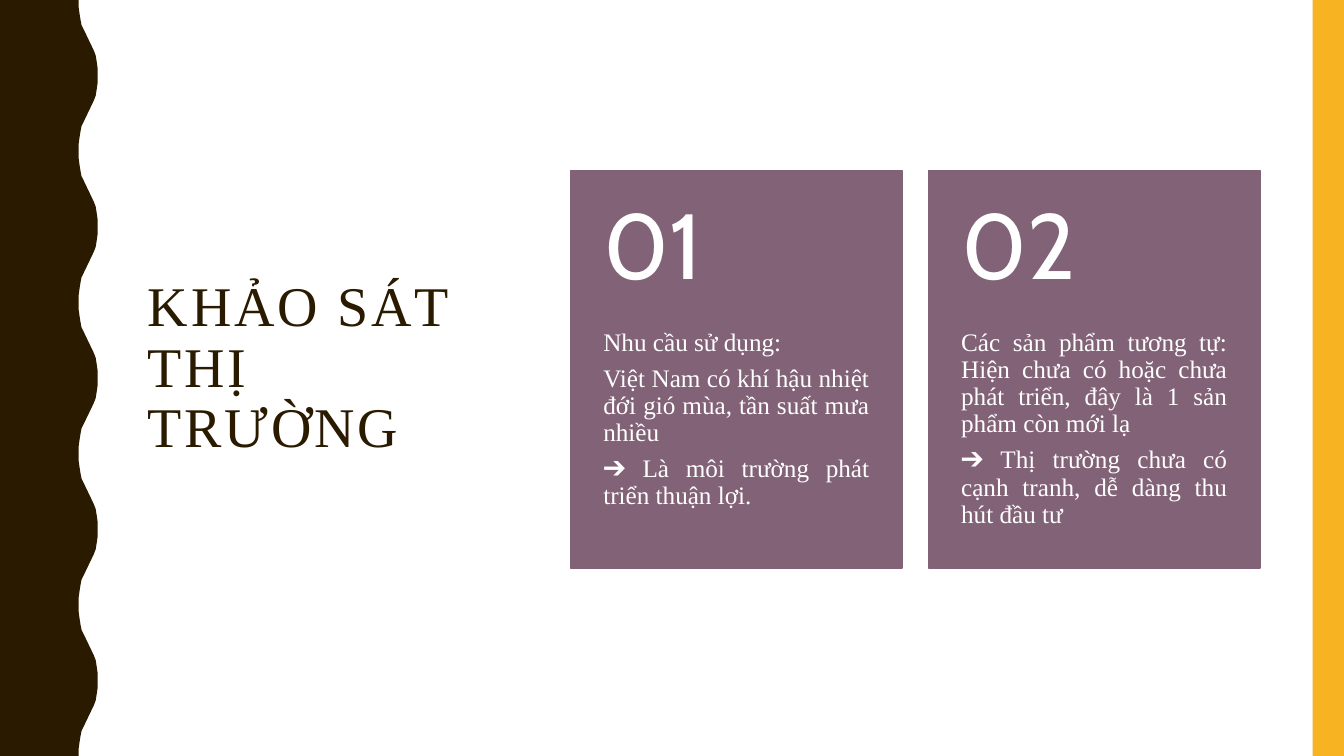
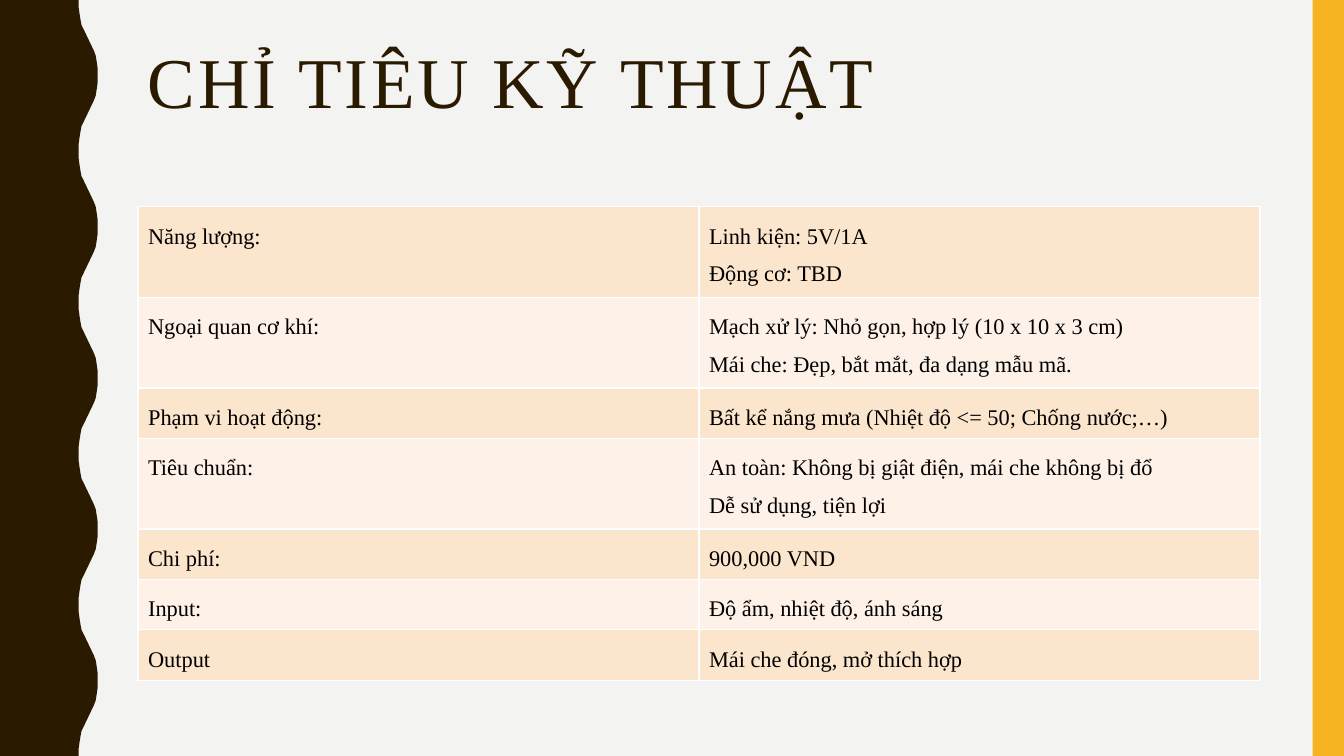
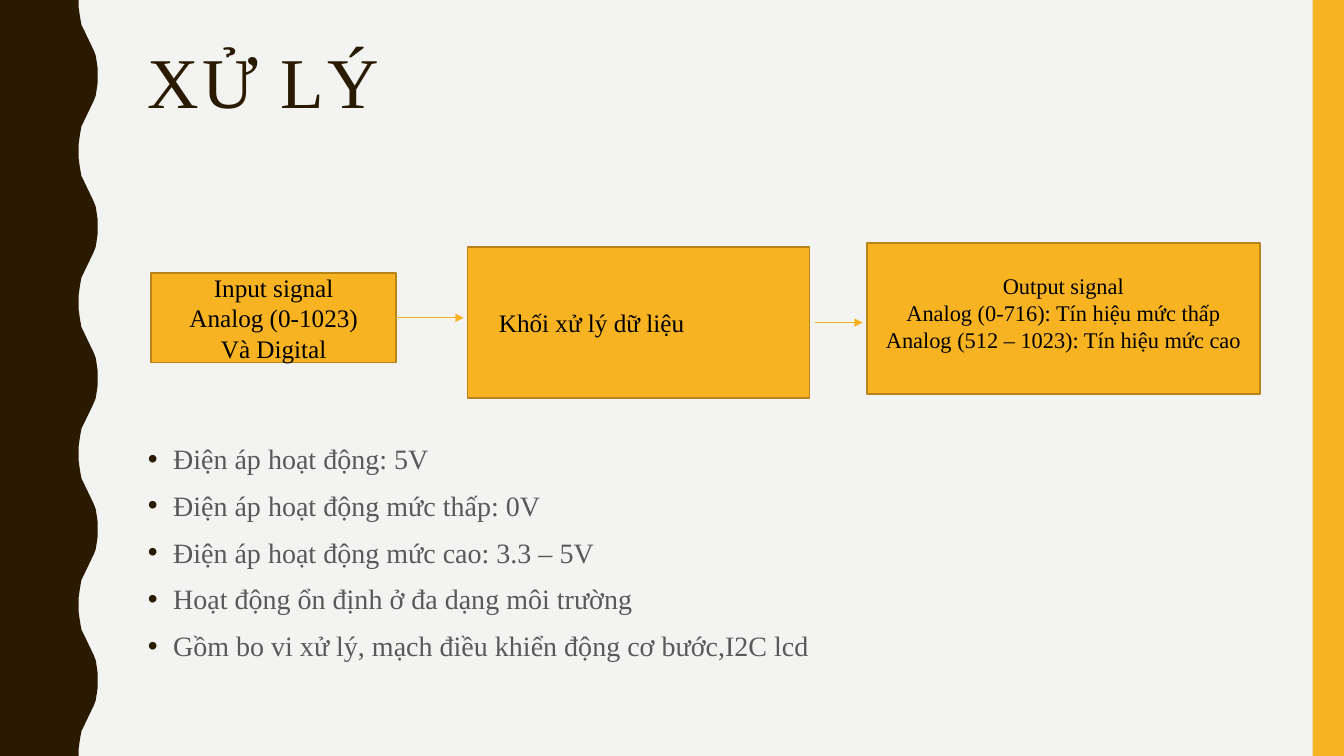
from lxml import etree
from pptx import Presentation
from pptx.dml.color import RGBColor
from pptx.enum import shapes, text
from pptx.oxml import ns
from pptx.util import Pt

BROWN = RGBColor(0x2A, 0x1A, 0x00)
AMBER = RGBColor(0xF8, 0xB3, 0x23)
DARK_AMBER = RGBColor(0xB7, 0x84, 0x1A)
PLUM = RGBColor(0x82, 0x62, 0x76)
PEACH = RGBColor(0xFC, 0xE5, 0xCD)
PALE_PEACH = RGBColor(0xFE, 0xF2, 0xE8)
PAPER = RGBColor(0xF3, 0xF3, 0xF2)
GREY = RGBColor(0x59, 0x59, 0x59)
WHITE = RGBColor(0xFF, 0xFF, 0xFF)
BLACK = RGBColor(0x00, 0x00, 0x00)

SERIF = "Times New Roman"
WIDTH, HEIGHT = 960, 540
LEFT, CONTENT_WIDTH = 98.6, 801.4
CENTER, JUSTIFY = text.PP_ALIGN.CENTER, text.PP_ALIGN.JUSTIFY
MIDDLE = text.MSO_ANCHOR.MIDDLE
RECTANGLE = shapes.MSO_SHAPE.RECTANGLE

# Lower half of one wave bulge (x, y); the other half mirrors it.
WAVE_PERIOD = 108
HALF_WAVE = [(56.2, 0), (56.2, 5), (56.9, 10), (57.6, 14.4), (58.3, 18), (59.8, 21),
             (67, 36), (68.4, 39.6), (69.1, 44), (69.8, 49), (69.8, 54)]
WAVE = HALF_WAVE + [(x, WAVE_PERIOD - y) for x, y in HALF_WAVE[-2::-1]]


def write(frame, lines, size, color, font=SERIF, align=None, spacing=None,
          before=0, after=None, bullet=False, tracking=None):
    """Fill a text frame with one paragraph per line, all in one style."""
    frame.word_wrap = True
    for index, line in enumerate(lines):
        para = frame.add_paragraph() if index else frame.paragraphs[0]
        para.text = line
        para.alignment = align
        para.line_spacing = spacing
        if index and before:
            para.space_before = Pt(before)
        if after:
            para.space_after = Pt(after)
        if bullet:
            props = para._p.get_or_add_pPr()
            props.set("marL", str(Pt(18)))
            props.set("indent", str(-Pt(18)))
            bullet_color = etree.SubElement(props, ns.qn("a:buClr"))
            etree.SubElement(bullet_color, ns.qn("a:srgbClr"), val=str(BROWN))
            etree.SubElement(props, ns.qn("a:buFont"), typeface="Arial")
            etree.SubElement(props, ns.qn("a:buChar"), char="•")
        para.font.name = font
        para.font.size = Pt(size)
        para.font.color.rgb = color
        if tracking:
            para.font._rPr.set("spc", str(tracking * 100))


def start_page(background, title, size, top, width, height, anchor):
    """Add a page with the wavy band, the right stripe and the title."""
    page = deck.slides.add_slide(deck.slide_layouts[6])
    page.background.fill.solid()
    page.background.fill.fore_color.rgb = background

    outline = page.shapes.build_freeform(0, 0, scale=1.0)
    outline.add_line_segments(
        [(Pt(x), Pt(y + start)) for start in range(0, HEIGHT, WAVE_PERIOD) for x, y in WAVE]
        + [(0, Pt(HEIGHT))])
    band = outline.convert_to_shape()
    stripe = page.shapes.add_shape(RECTANGLE, Pt(937.6), 0, Pt(22.4), Pt(HEIGHT))
    for shape, color in ((band, BROWN), (stripe, AMBER)):
        shape.shadow.inherit = False
        shape.fill.solid()
        shape.fill.fore_color.rgb = color
        shape.line.fill.background()

    box = page.shapes.add_textbox(Pt(LEFT), Pt(top), Pt(width), Pt(height))
    box.text_frame.vertical_anchor = anchor
    write(box.text_frame, [title], size, BROWN, spacing=0.9, tracking=2)
    return page


deck = Presentation()
deck.slide_width, deck.slide_height = Pt(WIDTH), Pt(HEIGHT)
TOP_TITLE = dict(size=51, top=30.2, width=CONTENT_WIDTH, height=117.4,
                 anchor=text.MSO_ANCHOR.TOP)

# Market survey: two numbered cards
page = start_page(WHITE, "KHẢO SÁT THỊ TRƯỜNG", 40, 50.4, 266.4, 426.2, MIDDLE)
cards = [
    ["Nhu cầu sử dụng:",
     "Việt Nam có khí hậu nhiệt đới gió mùa, tần suất mưa nhiều",
     "➔ Là môi trường phát triển thuận lợi."],
    ["Các sản phẩm tương tự: Hiện chưa có hoặc chưa phát triển, đây là 1 sản phẩm còn mới lạ",
     "➔ Thị trường chưa có cạnh tranh, dễ dàng thu hút đầu tư"],
]
CARD_TOP, CARD_WIDTH, CARD_HEIGHT, NUMBER_HEIGHT = 121.7, 236.9, 284, 113.6
for index, lines in enumerate(cards):
    left = Pt(407.5 + index * 255.6)
    card = page.shapes.add_shape(RECTANGLE, left, Pt(CARD_TOP), Pt(CARD_WIDTH), Pt(CARD_HEIGHT))
    card.shadow.inherit = False
    card.fill.solid()
    card.fill.fore_color.rgb = PLUM
    card.line.color.rgb = PLUM
    card.line.width = Pt(1)

    number = page.shapes.add_textbox(left, Pt(CARD_TOP), Pt(CARD_WIDTH), Pt(NUMBER_HEIGHT))
    number.text_frame.vertical_anchor = MIDDLE
    number.text_frame.margin_top = number.text_frame.margin_bottom = Pt(13)
    write(number.text_frame, [f"{index + 1:02}"], 66, WHITE, font="Cabin", spacing=0.9)

    body = page.shapes.add_textbox(left, Pt(CARD_TOP + NUMBER_HEIGHT), Pt(CARD_WIDTH),
                                   Pt(CARD_HEIGHT - NUMBER_HEIGHT))
    body.text_frame.margin_top, body.text_frame.margin_bottom = 0, Pt(26)
    write(body.text_frame, lines, 18, WHITE, align=JUSTIFY, spacing=0.9, after=6.3)
    for box in (number, body):
        box.text_frame.margin_left = box.text_frame.margin_right = Pt(23.4)

# Technical targets: table
page = start_page(PAPER, "CHỈ TIÊU KỸ THUẬT", **TOP_TITLE)
targets = [
    ("Năng lượng:", ["Linh kiện: 5V/1A", "Động cơ: TBD"]),
    ("Ngoại quan cơ khí:", ["Mạch xử lý: Nhỏ gọn, hợp lý (10 x 10 x 3 cm)",
                            "Mái che: Đẹp, bắt mắt, đa dạng mẫu mã."]),
    ("Phạm vi hoạt động:", ["Bất kể nắng mưa (Nhiệt độ <= 50; Chống nước;…)"]),
    ("Tiêu chuẩn:", ["An toàn: Không bị giật điện, mái che không bị đổ",
                     "Dễ sử dụng, tiện lợi"]),
    ("Chi phí:", ["900,000 VND"]),
    ("Input:", ["Độ ẩm, nhiệt độ, ánh sáng"]),
    ("Output", ["Mái che đóng, mở thích hợp"]),
]
row_heights = [26.6 * len(values) + 7.2 for _, values in targets]
table = page.shapes.add_table(len(targets), 2, Pt(LEFT), Pt(147.6), Pt(CONTENT_WIDTH),
                              Pt(sum(row_heights))).table
table.first_row = table.horz_banding = False
for row, (label, values) in enumerate(targets):
    table.rows[row].height = Pt(row_heights[row])
    for column, lines in enumerate(([label], values)):
        cell = table.cell(row, column)
        write(cell.text_frame, lines, 16, BLACK, spacing=1.5)
        for side in ("lnL", "lnR", "lnT", "lnB"):
            border = etree.SubElement(cell._tc.get_or_add_tcPr(), ns.qn(f"a:{side}"), w=str(Pt(1)))
            border_fill = etree.SubElement(border, ns.qn("a:solidFill"))
            etree.SubElement(border_fill, ns.qn("a:srgbClr"), val=str(WHITE))
        cell.fill.solid()
        cell.fill.fore_color.rgb = PALE_PEACH if row % 2 else PEACH

# Processing: signal flow and notes
page = start_page(PAPER, "XỬ LÝ", **TOP_TITLE)
notes = page.shapes.add_textbox(Pt(LEFT), Pt(309.6), Pt(CONTENT_WIDTH), Pt(180))
write(notes.text_frame,
      ["Điện áp hoạt động: 5V",
       "Điện áp hoạt động mức thấp: 0V",
       "Điện áp hoạt động mức cao: 3.3 – 5V",
       "Hoạt động ổn định ở đa dạng môi trường",
       "Gồm bo vi xử lý, mạch điều khiển động cơ bước,I2C lcd"],
      20, GREY, spacing=1.1, before=7, bullet=True)

blocks = [  # left, top, width, height, left inset, bottom inset, size, alignment, lines
    (108, 195, 175, 64, 7.2, 3.6, 18, CENTER, ["Input signal", "Analog (0-1023)", "Và Digital"]),
    (334, 176.4, 244.1, 108, 22.3, 3.6, 18, None, ["Khối xử lý dữ liệu"]),
    (619.2, 173.5, 280.8, 108, 7.2, 11.5, 16, CENTER,
     ["Output signal", "Analog (0-716): Tín hiệu mức thấp",
      "Analog (512 – 1023): Tín hiệu mức cao"]),
]
flow = []
for left, top, width, height, inset, bottom, size, align, lines in blocks:
    block = page.shapes.add_shape(RECTANGLE, Pt(left), Pt(top), Pt(width), Pt(height))
    block.shadow.inherit = False
    block.fill.solid()
    block.fill.fore_color.rgb = AMBER
    block.line.color.rgb = DARK_AMBER
    block.line.width = Pt(1)
    block.text_frame.vertical_anchor = MIDDLE
    block.text_frame.margin_left, block.text_frame.margin_bottom = Pt(inset), Pt(bottom)
    write(block.text_frame, lines, size, BLACK, align=align or text.PP_ALIGN.LEFT)
    flow.append(block)

arrows = []
for start, end, y in ((283, 331.2, 227), (582.5, 616.3, 230.4)):
    arrow = page.shapes.add_connector(shapes.MSO_CONNECTOR.STRAIGHT,
                                      Pt(start), Pt(y), Pt(end), Pt(y))
    arrow.line.color.rgb = AMBER
    arrow.line.width = Pt(1)
    props = arrow._element.spPr
    etree.SubElement(props.find(ns.qn("a:ln")), ns.qn("a:tailEnd"), type="triangle")
    etree.SubElement(props, ns.qn("a:effectLst"))
    arrows.append(arrow)
arrows[0].begin_connect(flow[0], 3)

deck.save("out.pptx")
